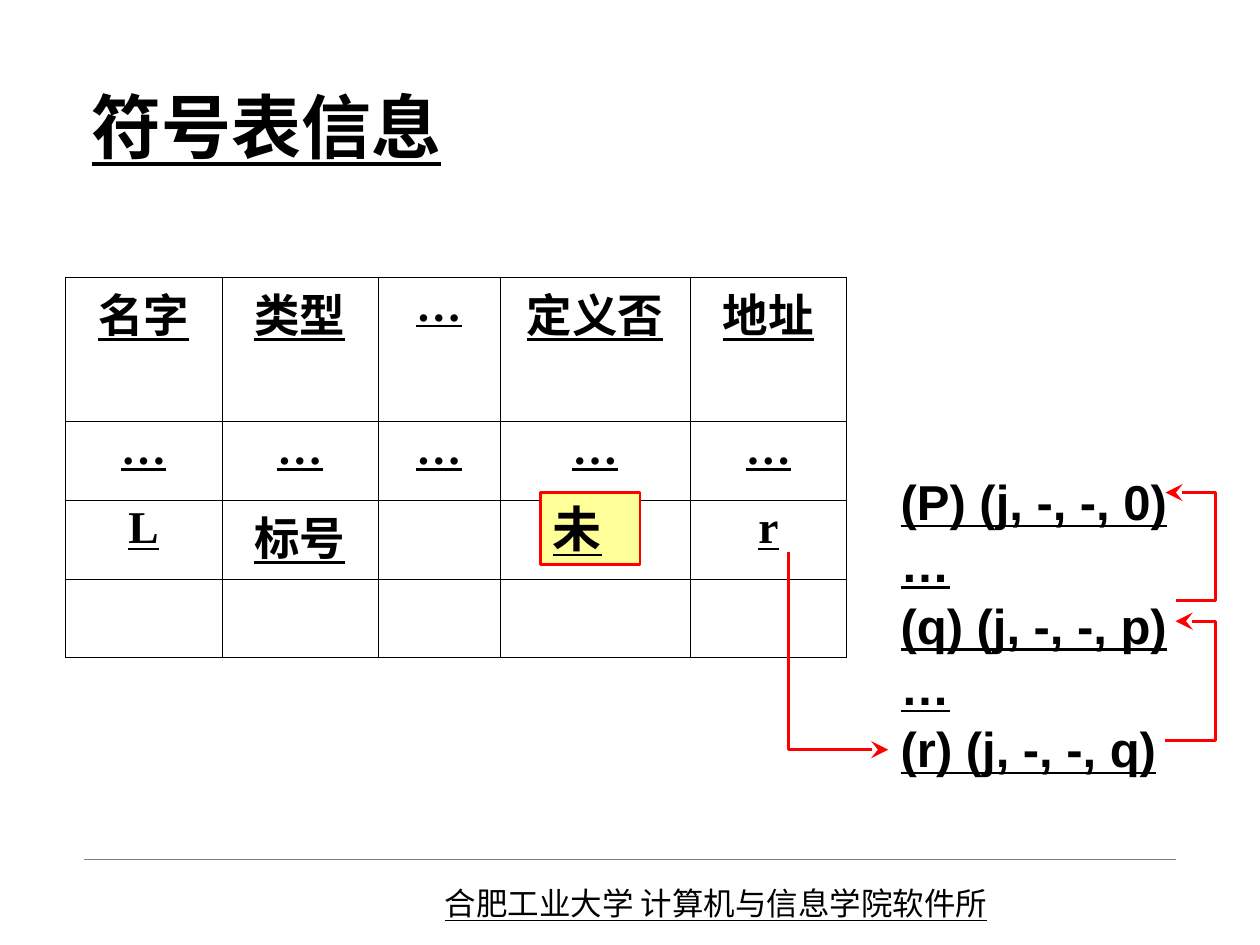
from pptx import Presentation
from pptx.dml.color import RGBColor
from pptx.enum.shapes import MSO_CONNECTOR, MSO_SHAPE
from pptx.enum.text import MSO_ANCHOR, PP_ALIGN
from pptx.oxml import parse_xml
from pptx.oxml.ns import nsdecls, qn
from pptx.util import Inches, Pt
from lxml import etree

COLORS = {"ink": "000000", "arrow": "FF0000", "mark": "FFFF99", "rule": "808080"}
CJK_FONT = "Noto Sans CJK SC"
SYMBOLS = [
    ["名字", "类型", "…", "定义否", "地址"],
    ["…", "…", "…", "…", "…"],
    ["L", "标号", "", "", "r"],
    ["", "", "", "", ""],
]
COLUMN_WIDTHS = [1.24, 1.24, 0.97, 1.51, 1.24]
ROW_HEIGHTS = [1.14, 0.63, 0.63, 0.62]
JUMPS = ["(P) (j, -, -, 0)", "…", "(q) (j, -, -, p)", "…", "(r) (j, -, -, q)"]
ARROWS = [
    [(6.26, 4.38), (6.26, 5.95), (7.05, 5.95)],
    [(9.25, 5.88), (9.65, 5.88), (9.65, 4.93), (9.33, 4.93)],
    [(9.33, 4.77), (9.65, 4.77), (9.65, 3.91), (9.25, 3.91)],
]


def color(name):
    return RGBColor.from_string(COLORS[name])


def write(frame, text, size=28, font="Arial", bold=True, align=PP_ALIGN.LEFT,
          anchor=MSO_ANCHOR.TOP, spacing=None):
    frame.word_wrap = True
    frame.vertical_anchor = anchor
    for index, line in enumerate(text.split("\n")):
        para = frame.add_paragraph() if index else frame.paragraphs[0]
        para.alignment = align
        para.line_spacing = spacing
        span = para.add_run()
        span.text = line
        span.font.size = Pt(size)
        span.font.name = font
        span.font.bold = bold
        span.font.underline = True
        span.font.color.rgb = color("ink")
        east_asian = etree.Element(qn("a:ea"), typeface=CJK_FONT)
        span.font._element.find(qn("a:latin")).addnext(east_asian)


def add_title(page, left, top, width, height):
    title = page.shapes.title
    title.left, title.top = Inches(left), Inches(top)
    title.width, title.height = Inches(width), Inches(height)
    write(title.text_frame, "符号表信息", size=40, font="DejaVu Sans",
          anchor=MSO_ANCHOR.MIDDLE)


def add_text(page, text, left, top, width, height, **style):
    box = page.shapes.add_textbox(Inches(left), Inches(top), Inches(width), Inches(height))
    write(box.text_frame, text, **style)


def add_border(cell, side, points):
    cell._tc.get_or_add_tcPr().append(parse_xml(
        f'<a:ln{side} {nsdecls("a")} w="{Pt(points)}"><a:solidFill>'
        f'<a:srgbClr val="{COLORS["ink"]}"/></a:solidFill></a:ln{side}>'))


def add_symbol_table(page, left, top):
    last_row, last_column = len(SYMBOLS) - 1, len(SYMBOLS[0]) - 1
    table = page.shapes.add_table(
        len(SYMBOLS), len(SYMBOLS[0]), Inches(left), Inches(top),
        Inches(sum(COLUMN_WIDTHS)), Inches(sum(ROW_HEIGHTS))).table
    table.first_row = table.horz_banding = False
    for column, width in zip(table.columns, COLUMN_WIDTHS):
        column.width = Inches(width)
    for row, height in zip(table.rows, ROW_HEIGHTS):
        row.height = Inches(height)
    for r, texts in enumerate(SYMBOLS):
        for c, text in enumerate(texts):
            cell = table.cell(r, c)
            outer = {"L": c == 0, "R": c == last_column, "T": r == 0, "B": r == last_row}
            for side, is_outer in outer.items():
                add_border(cell, side, 0.5 if is_outer else 0.23)
            cell.fill.background()
            if text:
                write(cell.text_frame, text, size=26, font="Times New Roman",
                      align=PP_ALIGN.CENTER, spacing=0.93)


def add_arrow(page, points):
    corners = [(Inches(x), Inches(y)) for x, y in points]
    builder = page.shapes.build_freeform(*corners[0])
    builder.add_line_segments(corners[1:], close=False)
    arrow = builder.convert_to_shape()
    arrow.shadow.inherit = False
    arrow.fill.background()
    arrow.line.color.rgb = color("arrow")
    arrow.line.width = Pt(1.75)
    etree.SubElement(arrow.line._get_or_add_ln(), qn("a:tailEnd"),
                     type="stealth", w="lg", len="lg")


def add_undefined_mark(page, left, top, width, height):
    mark = page.shapes.add_shape(MSO_SHAPE.RECTANGLE, Inches(left), Inches(top),
                                 Inches(width), Inches(height))
    mark.shadow.inherit = False
    mark.fill.solid()
    mark.fill.fore_color.rgb = color("mark")
    mark.line.color.rgb = color("arrow")
    mark.line.width = Pt(1.5)
    write(mark.text_frame, "未")


def add_footer(page, left, top, width):
    rule = page.shapes.add_connector(MSO_CONNECTOR.STRAIGHT, Inches(left), Inches(top),
                                     Inches(left + width), Inches(top))
    rule.line.color.rgb = color("rule")
    rule.line.width = Pt(0.25)
    etree.SubElement(rule._element.spPr, qn("a:effectLst"))
    add_text(page, "合肥工业大学 计算机与信息学院软件所", left + 2.76, top + 0.15, 5.04, 0.4,
             size=18, font=CJK_FONT, bold=False)


def main():
    deck = Presentation()
    deck.slide_width, deck.slide_height = Inches(10), Inches(7.5)
    page = deck.slides.add_slide(deck.slide_layouts[5])
    add_footer(page, 0.67, 6.82, 8.66)
    add_title(page, 0.63, 0.33, 8.75, 1.33)
    add_symbol_table(page, 0.52, 2.2)
    add_text(page, "\n".join(JUMPS), 7.05, 3.67, 2.95, 2.92, spacing=1.05)
    for points in ARROWS:
        add_arrow(page, points)
    add_undefined_mark(page, 4.29, 3.91, 0.79, 0.57)
    deck.save("out.pptx")


if __name__ == "__main__":
    main()
